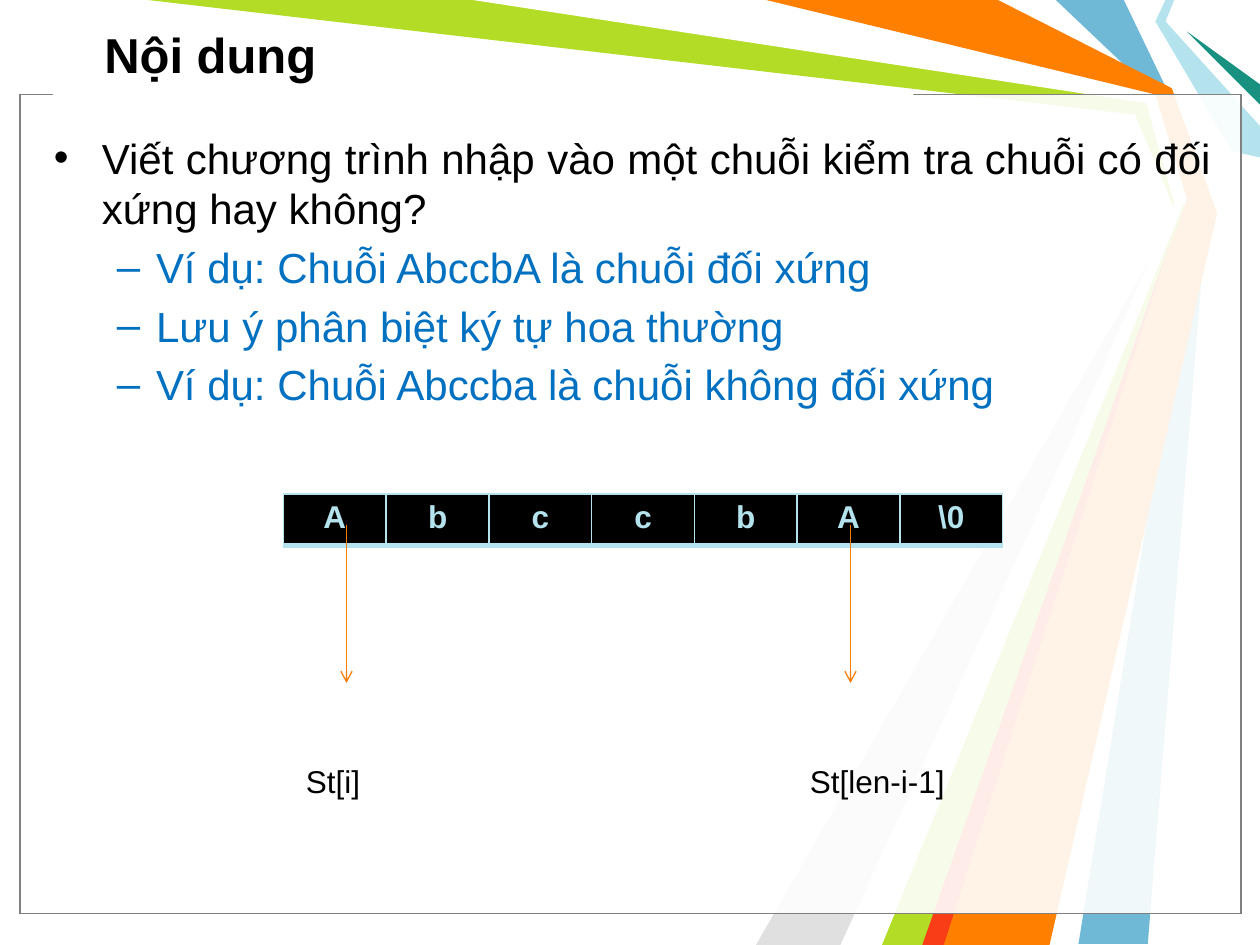
import pptx
import pptx.util
import pptx.dml.color
import pptx.enum.shapes
import pptx.enum.text
import pptx.oxml
import pptx.oxml.ns
from lxml import etree

Inches, Pt = pptx.util.Inches, pptx.util.Pt
RGBColor = pptx.dml.color.RGBColor
ALIGN, ANCHOR = pptx.enum.text.PP_ALIGN, pptx.enum.text.MSO_ANCHOR
qn = pptx.oxml.ns.qn

BLACK, WHITE = RGBColor(0, 0, 0), RGBColor(255, 255, 255)
GRAY, PALE_GRAY = RGBColor(0x80, 0x80, 0x80), RGBColor(0xE0, 0xE0, 0xE0)
BLUE, TEXT_BLUE = RGBColor(0x6F, 0xB9, 0xD7), RGBColor(0x00, 0x70, 0xC0)
PALE_BLUE, TEAL = RGBColor(0xB4, 0xE3, 0xEE), RGBColor(0x18, 0x91, 0x80)
GREEN, RED = RGBColor(0xB3, 0xDC, 0x27), RGBColor(0xF9, 0x3D, 0x17)
ORANGE, ARROW_ORANGE = RGBColor(0xFF, 0x7F, 0x00), RGBColor(0xF9, 0x7C, 0x00)
FONT = "Arial"

# Content
TITLE = "Nội dung"
BODY = [
    (0, "Viết chương trình nhập vào một chuỗi kiểm tra chuỗi có đối xứng hay không?"),
    (1, "Ví dụ: Chuỗi AbccbA là chuỗi đối xứng"),
    (1, "Lưu ý phân biệt ký tự hoa thường"),
    (1, "Ví dụ: Chuỗi Abccba là chuỗi không đối xứng"),
]
# Per level: bullet, text indent, hanging indent, colour
LEVELS = [("•", 0.38, 0.38, BLACK), ("–", 0.81, 0.31, TEXT_BLUE)]
CHARACTERS = ["A", "b", "c", "c", "b", "A", "\\0"]
POINTERS = [("St[i]", 2.75, 0.64), ("St[len-i-1]", 6.75, 1.28)]  # label, arrow x, width

# Background ribbons, from back to front
RIBBONS = [
    (BLUE, [(8.92, 0), (9.29, 0.77), (9.58, 1.67), (9.11, 7.49), (8.56, 7.49),
            (9.5, 1.67), (9.17, 0.75), (8.38, 0)]),
    (GREEN, [(1.17, 0), (3.83, 0), (9.14, 0.78), (9.42, 1.69), (7.42, 7.5),
             (6.92, 7.5), (9.35, 1.73), (9.01, 0.91)]),
    (PALE_GRAY, [(6.67, 7.5), (9.27, 1.81), (6, 7.5)]),
    (WHITE, [(3.75, 0), (9.1, 0.82), (9.32, 1.62), (6.75, 7.5), (7, 7.5),
             (9.41, 1.58), (9.17, 0.75), (6, 0)]),
    (PALE_BLUE, [(9.25, 0), (9.17, 0.17), (9.78, 1.2), (10, 1.25), (10, 1),
                 (9.25, 0.17), (9.32, 0)]),
    (TEAL, [(10, 0.83), (9.42, 0.25), (10, 0.67)]),
    (ORANGE, [(6.08, 0), (7.92, 0), (9.3, 0.7), (9.66, 1.69), (8.33, 7.5),
              (7.33, 7.5), (9.42, 1.58), (9.17, 0.75)]),
    (RED, [(7.32, 7.5), (9.32, 1.83), (7.49, 7.5)]),
]

presentation = pptx.Presentation()
presentation.slide_width, presentation.slide_height = Inches(10), Inches(7.5)
slide = presentation.slides.add_slide(presentation.slide_layouts[6])


def paint(shape, fill, line=None, opacity=None):
    shape.shadow.inherit = False
    shape.fill.solid()
    shape.fill.fore_color.rgb = fill
    if opacity:
        color = shape.fill._xPr.find(qn("a:solidFill"))[0]
        etree.SubElement(color, qn("a:alpha"), val=str(opacity * 1000))
    if line is None:
        shape.line.fill.background()
    else:
        shape.line.color.rgb = line
        shape.line.width = Pt(0.75)


def add_rectangle(left, top, width, height, *style):
    shape = slide.shapes.add_shape(
        pptx.enum.shapes.MSO_SHAPE.RECTANGLE,
        Inches(left), Inches(top), Inches(width), Inches(height))
    paint(shape, *style)


def add_text_frame(left, top, width, height, wrap=True):
    box = slide.shapes.add_textbox(Inches(left), Inches(top), Inches(width), Inches(height))
    box.text_frame.word_wrap = wrap
    return box.text_frame


def write(paragraph, text, size, color=BLACK, bold=False):
    paragraph.text = text
    font = paragraph.font
    font.name, font.size, font.bold = FONT, Pt(size), bold
    font.color.rgb = color


def set_border(cell, side, width):
    properties = cell._tc.get_or_add_tcPr()
    border = etree.SubElement(properties, qn("a:" + side), w=str(Pt(width)))
    fill = etree.SubElement(border, qn("a:solidFill"))
    etree.SubElement(fill, qn("a:srgbClr"), val=str(PALE_BLUE))


# Ribbons and translucent frame
for color, points in RIBBONS:
    corners = [(Inches(x), Inches(y)) for x, y in points]
    builder = slide.shapes.build_freeform(*corners[0])
    builder.add_line_segments(corners[1:], close=True)
    paint(builder.convert_to_shape(), color)
for outline in (BLACK, GRAY):
    add_rectangle(0.16, 0.75, 9.69, 6.5, WHITE, outline, 69)
add_rectangle(0.42, 0.74, 6.83, 0.17, WHITE)

# Title
title_frame = add_text_frame(0.73, 0.08, 9.11, 0.69)
title_frame.vertical_anchor = ANCHOR.MIDDLE
write(title_frame.paragraphs[0], TITLE, 28, bold=True)

# Bulleted body
body_frame = add_text_frame(0.33, 1, 9.38, 6.17)
for index, (level, text) in enumerate(BODY):
    paragraph = body_frame.add_paragraph() if index else body_frame.paragraphs[0]
    bullet, indent, hanging, color = LEVELS[level]
    write(paragraph, text, 24, color)
    paragraph.level = level
    paragraph.alignment = ALIGN.JUSTIFY
    paragraph.space_before = Pt(4.8)
    properties = paragraph._p.get_or_add_pPr()
    properties.set("marL", str(Inches(indent)))
    properties.set("indent", str(-Inches(hanging)))
    bullet_font = pptx.oxml.parse_xml(
        '<a:buFont xmlns:a="http://schemas.openxmlformats.org/drawingml/2006/main"'
        f' typeface="{FONT}"/>')
    bullet_mark = etree.Element(qn("a:buChar"), char=bullet)
    defaults = properties.find(qn("a:defRPr"))
    defaults.addprevious(bullet_font)
    defaults.addprevious(bullet_mark)

# Character table
table = slide.shapes.add_table(
    1, len(CHARACTERS), Inches(2.25), Inches(3.92), Inches(5.71), Inches(0.41)).table
for column, character in enumerate(CHARACTERS):
    cell = table.cell(0, column)
    for side, width in (("lnL", 1), ("lnR", 1), ("lnT", 1), ("lnB", 3)):
        set_border(cell, side, width)
    cell.fill.solid()
    cell.fill.fore_color.rgb = BLACK
    paragraph = cell.text_frame.paragraphs[0]
    write(paragraph, character, 18, PALE_BLUE, bold=True)
    paragraph.alignment = ALIGN.CENTER

# Arrows with their labels
for label, x, width in POINTERS:
    arrow = slide.shapes.add_connector(
        pptx.enum.shapes.MSO_CONNECTOR.STRAIGHT,
        Inches(x), Inches(4.17), Inches(x), Inches(5.42))
    arrow.line.color.rgb = ARROW_ORANGE
    arrow.line.width = Pt(0.75)
    etree.SubElement(arrow.line._get_or_add_ln(), qn("a:tailEnd"), type="arrow")
    etree.SubElement(arrow._element.spPr, qn("a:effectLst"))
    label_frame = add_text_frame(x - 0.42, 6, width, 0.4, wrap=False)
    label_frame.auto_size = pptx.enum.text.MSO_AUTO_SIZE.SHAPE_TO_FIT_TEXT
    write(label_frame.paragraphs[0], label, 18)

presentation.save("out.pptx")
